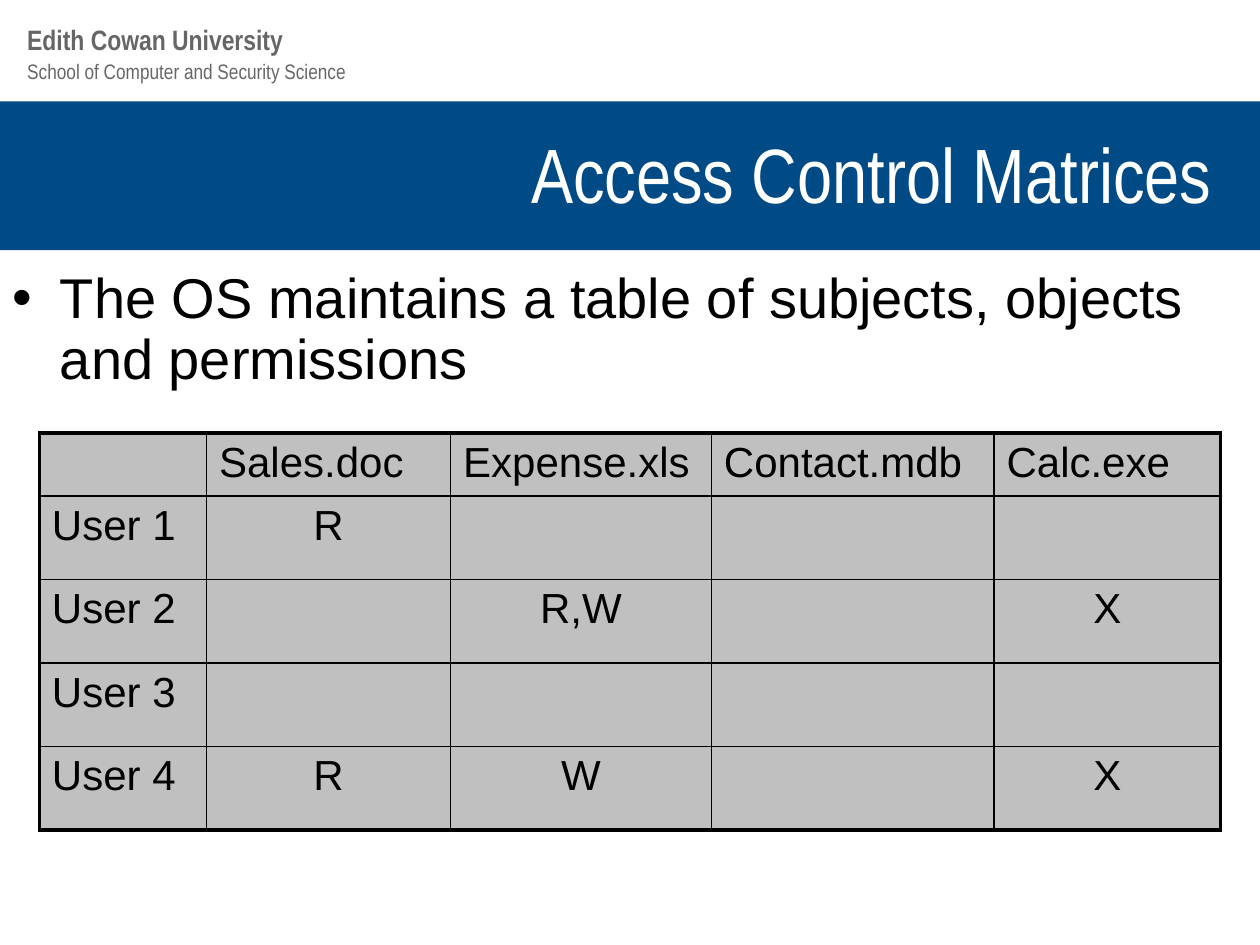
import pptx
import pptx.util
import pptx.dml.color
import pptx.enum.shapes
import pptx.enum.text
import pptx.oxml
import pptx.oxml.ns
from dataclasses import dataclass

Pt = pptx.util.Pt
ALIGN = pptx.enum.text.PP_ALIGN
ANCHOR = pptx.enum.text.MSO_ANCHOR


@dataclass(frozen=True)
class Theme:
    band: str = "004B85"
    grey: str = "666666"
    white: str = "FFFFFF"
    black: str = "000000"
    cell: str = "C0C0C0"
    sans: str = "Arial"
    slim: str = "Arial Narrow"
    title: float = 44
    body: float = 32
    grid: float = 24
    name: float = 16
    school: float = 12
    thin: float = 1
    thick: float = 2.25


T = Theme()
FILES = ["Sales.doc", "Expense.xls", "Contact.mdb", "Calc.exe"]
RIGHTS = [
    ["", *FILES],
    ["User 1", "R", "", "", ""],
    ["User 2", "", "R,W", "", "X"],
    ["User 3", "", "", "", ""],
    ["User 4", "R", "W", "", "X"],
]
COLS = [95.5, 139.5, 149, 161.5, 129.5]
ROWS = [34] + [47.7] * 4


def color(code):
    return pptx.dml.color.RGBColor.from_string(code)


def write(frame, text, size, font=T.sans, tint=T.black, bold=False,
          align=ALIGN.LEFT, anchor=ANCHOR.TOP, bullet=None, hang=0, line=None):
    """Fill a text frame with one formatted paragraph."""
    frame.word_wrap = True
    frame.vertical_anchor = anchor
    para = frame.paragraphs[0]
    para.text = text
    para.alignment = align
    para.space_before = Pt(0)
    if line:
        para.line_spacing = line
    if bullet:
        props = para._p.get_or_add_pPr()
        props.set("marL", str(Pt(hang)))
        props.set("indent", str(-Pt(hang)))
        mark = pptx.oxml.ns.qn("a:buChar")
        props.append(props.makeelement(mark, {"char": bullet}))
    face = para.font
    face.name, face.size, face.bold = font, Pt(size), bold
    face.color.rgb = color(tint)


def place(shape, x, y, w, h):
    shape.left, shape.top, shape.width, shape.height = map(Pt, (x, y, w, h))


def edge(cell, side, width):
    """Draw one border of a table cell: L, R, T or B."""
    space = pptx.oxml.ns.nsdecls("a")
    line = pptx.oxml.parse_xml(
        f'<a:ln{side} {space} w="{Pt(width)}"><a:solidFill>'
        f'<a:srgbClr val="{T.black}"/></a:solidFill></a:ln{side}>')
    cell._tc.get_or_add_tcPr().append(line)


# School name above the band
def header(slide, x, y, w):
    lines = [("Edith Cowan University", 0, 27, T.name, True),
             ("School of Computer and Security Science", 20.5, 22, T.school, False)]
    for text, drop, h, size, bold in lines:
        box = slide.shapes.add_textbox(Pt(x), Pt(y + drop), Pt(w), Pt(h))
        write(box.text_frame, text, size, font=T.slim, tint=T.grey, bold=bold)


# Coloured band with the title on it
def banner(slide, x, y, w, h):
    kind = pptx.enum.shapes.MSO_SHAPE.RECTANGLE
    band = slide.shapes.add_shape(kind, Pt(x), Pt(y), Pt(w), Pt(h))
    band.shadow.inherit = False
    band.fill.solid()
    band.fill.fore_color.rgb = color(T.band)
    band.line.fill.background()
    slide.shapes._spTree.insert(2, band._element)  # behind the title
    title = slide.shapes.title
    place(title, x + 19.5, y + 1.5, w - 39.5, 78.5)
    write(title.text_frame, "Access Control Matrices", T.title, font=T.slim,
          tint=T.white, align=ALIGN.RIGHT, anchor=ANCHOR.MIDDLE)


# Bulleted statement
def point(slide, x, y, w, h):
    body = slide.placeholders[1]
    place(body, x, y, w, h)
    write(body.text_frame,
          "The OS maintains a table of subjects, objects and permissions",
          T.body, bullet="•", hang=27, line=0.9)


# Users against files
def matrix(slide, x, y):
    size = len(ROWS), len(COLS)
    frame = slide.shapes.add_table(*size, Pt(x), Pt(y), Pt(sum(COLS)), Pt(sum(ROWS)))
    table = frame.table
    table.first_row = table.horz_banding = False
    for col, width in zip(table.columns, COLS):
        col.width = Pt(width)
    for row, height in zip(table.rows, ROWS):
        row.height = Pt(height)
    for r, texts in enumerate(RIGHTS):
        for c, text in enumerate(texts):
            cell = table.cell(r, c)
            outer = {"L": c == 0, "R": c == size[1] - 1,
                     "T": r == 0, "B": r == size[0] - 1}
            for side, thick in outer.items():
                edge(cell, side, T.thick if thick else T.thin)
            cell.fill.solid()
            cell.fill.fore_color.rgb = color(T.cell)
            if text:
                align = ALIGN.CENTER if r and c else ALIGN.LEFT
                write(cell.text_frame, text, T.grid, align=align)


def main():
    deck = pptx.Presentation()
    deck.slide_width, deck.slide_height = Pt(720), Pt(540)
    slide = deck.slides.add_slide(deck.slide_layouts[1])
    banner(slide, 0, 58, 720, 85)
    header(slide, 8.5, 9.5, 424)
    point(slide, 0, 151, 720, 86.5)
    matrix(slide, 22.5, 247.5)
    deck.save("out.pptx")


if __name__ == "__main__":
    main()
